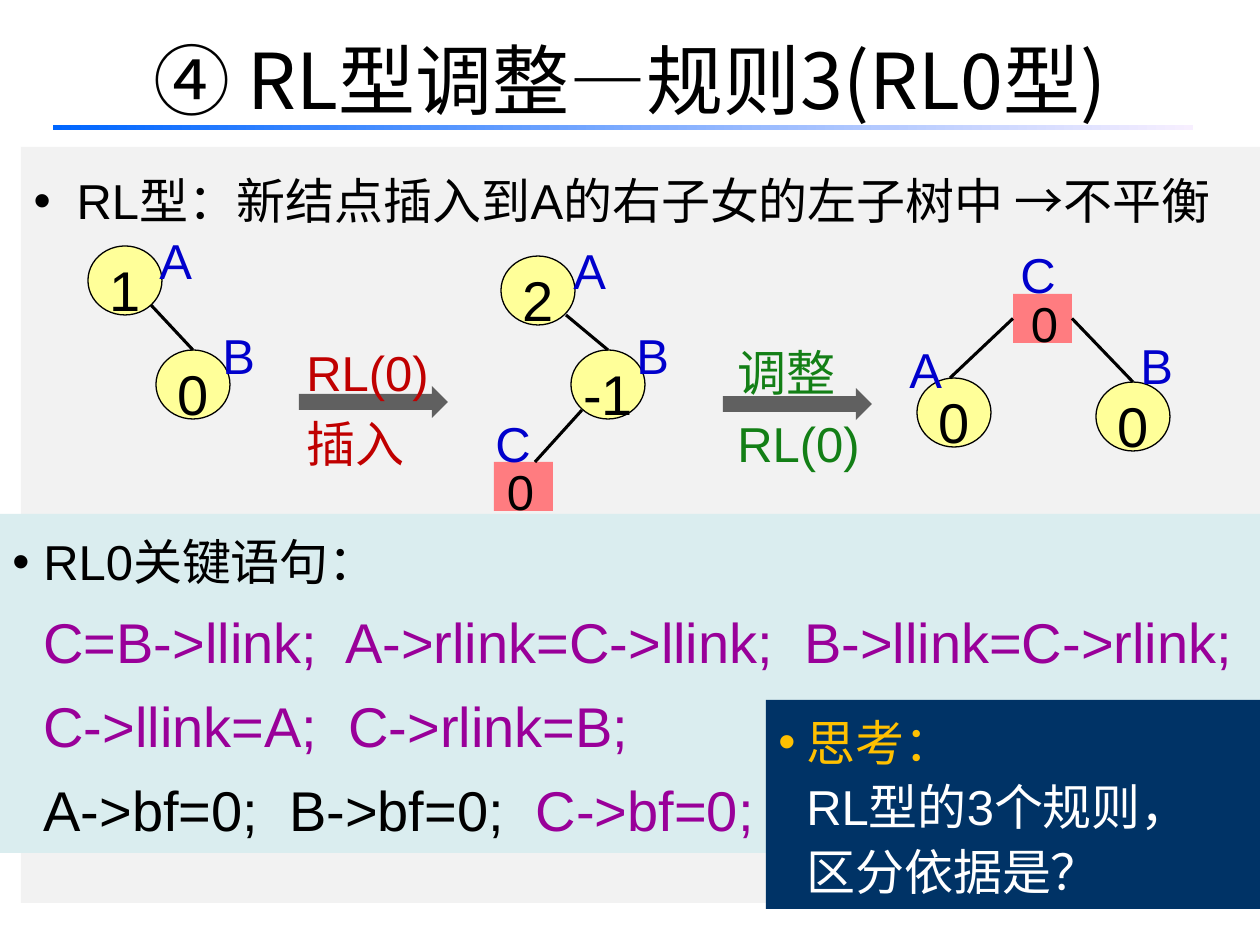
from pptx import Presentation
from pptx.dml.color import RGBColor
from pptx.enum.shapes import MSO_CONNECTOR, MSO_SHAPE
from pptx.enum.text import MSO_ANCHOR, MSO_AUTO_SIZE, PP_ALIGN
from pptx.oxml.ns import qn
from pptx.util import Pt
from lxml.etree import SubElement

COLORS = {
    "black": "000000", "white": "FFFFFF", "panel": "F2F2F2", "node": "FFFF99",
    "inserted": "FF7C80", "label": "0000CC", "arrow": "606060", "insert": "C00000",
    "adjust": "137F16", "code_panel": "DAEDEF", "code": "990099",
    "question_panel": "003366", "question": "FFC000",
    "rule_start": "0066FF", "rule_end": "F7EFFF",
}
NODE_WIDTH, NODE_HEIGHT = 74, 69
TOP, LEFT, RIGHT = 0, 1, 3


def emu(px):
    return round(px * 914400 / 126)


def color(name):
    return RGBColor.from_string(COLORS[name])


class SlideBuilder:
    """Holds the current slide and the style shared by its elements."""
    font_name = "Arial"

    def __init__(self, slide):
        self.slide = slide

    def style(self, paragraph, size, ink, spacing, align=None, before=0, font=None):
        paragraph.font.size = Pt(size)
        paragraph.font.name = font or self.font_name
        paragraph.font.color.rgb = color(ink)
        paragraph.line_spacing = spacing
        paragraph.space_before = Pt(before)
        paragraph.alignment = align

    def indent(self, paragraph, px, bullet):
        """Indent a paragraph, with its bullet hanging at the left edge."""
        properties = paragraph._p.get_or_add_pPr()
        properties.set("marL", str(emu(px)))
        properties.set("indent", str(-emu(px) if bullet else 0))
        if bullet:
            SubElement(properties, qn("a:buFont")).set("typeface", "Arial")
            SubElement(properties, qn("a:buChar")).set("char", "•")
        else:
            SubElement(properties, qn("a:buNone"))

    def place(self, shape, x, y, width, height):
        shape.left, shape.top = emu(x), emu(y)
        shape.width, shape.height = emu(width), emu(height)

    def title(self, text, *box):
        shape = self.slide.shapes.title
        self.place(shape, *box)
        frame = shape.text_frame
        frame.auto_size = MSO_AUTO_SIZE.NONE
        frame.vertical_anchor = MSO_ANCHOR.MIDDLE
        frame.text = text
        self.style(frame.paragraphs[0], 44, "black", 1.0, PP_ALIGN.CENTER,
                   font="Noto Sans CJK SC")

    def body(self, text, *box):
        shape = self.slide.placeholders[1]
        self.place(shape, *box)
        shape.fill.solid()
        shape.fill.fore_color.rgb = color("panel")
        frame = shape.text_frame
        frame.auto_size = MSO_AUTO_SIZE.NONE
        frame.text = text
        self.style(frame.paragraphs[0], 28, "black", 1.3, PP_ALIGN.JUSTIFY)
        self.indent(frame.paragraphs[0], 43, True)

    def shape(self, kind, fill, *box):
        x, y, width, height = map(emu, box)
        shape = self.slide.shapes.add_shape(kind, x, y, width, height)
        shape.shadow.inherit = False
        shape.line.fill.background()
        if fill:
            shape.fill.solid()
            shape.fill.fore_color.rgb = color(fill)
        return shape

    def gradient_rule(self, *box):
        fill = self.shape(MSO_SHAPE.RECTANGLE, None, *box).fill
        fill.gradient()
        fill.gradient_angle = 0
        for stop, position, name in zip(fill.gradient_stops, (0, 1), ("rule_start", "rule_end")):
            stop.position = position
            stop.color.rgb = color(name)

    def node(self, balance, x, y):
        shape = self.shape(MSO_SHAPE.OVAL, "node", x, y, NODE_WIDTH, NODE_HEIGHT)
        shape.line.color.rgb = color("black")
        shape.line.width = Pt(0.75)
        frame = shape.text_frame
        frame.word_wrap = False
        frame.vertical_anchor = MSO_ANCHOR.MIDDLE
        frame.text = balance
        self.style(frame.paragraphs[0], 32, "black", 1.25, PP_ALIGN.CENTER, before=9.6)
        return shape

    def text(self, lines, ink, *box, spacing=1.25, before=8.4, align=None):
        x, y, width, height = map(emu, box)
        frame = self.slide.shapes.add_textbox(x, y, width, height).text_frame
        frame.word_wrap = False
        frame.text = lines
        for paragraph in frame.paragraphs:
            self.style(paragraph, 28, ink, spacing, align, before)

    def label(self, name, x, y):
        self.text(name, "label", x, y, 58, 79)

    def inserted_node(self, x, y):
        return self.shape(MSO_SHAPE.RECTANGLE, "inserted", x, y, 59, 49)

    def inserted_balance(self, x, y):
        self.text("0", "black", x, y, 53, 87, align=PP_ALIGN.CENTER)

    def edge(self, start, end, begin_join=None, end_join=None):
        """Draw a tree edge; a join is a (shape, site) pair."""
        line = self.slide.shapes.add_connector(
            MSO_CONNECTOR.STRAIGHT, *map(emu, start + end))
        line.line.color.rgb = color("black")
        line.line.width = Pt(1.75)
        SubElement(line._element.spPr, qn("a:effectLst"))
        if begin_join:
            line.begin_connect(*begin_join)
        if end_join:
            line.end_connect(*end_join)

    def step(self, lines, ink, x, text_x, y):
        """Draw an arrow between two trees with its two-line caption."""
        self.shape(MSO_SHAPE.RIGHT_ARROW, "arrow", x, y, 149, 32)
        self.text(lines, ink, text_x, 325, 150, 155, spacing=1.2, before=0)

    def text_panel(self, fill, margin, lines, *box):
        """Lines are (size, spacing, [(text, colour), ...]); the first is bulleted."""
        frame = self.shape(MSO_SHAPE.RECTANGLE, fill, *box).text_frame
        frame.word_wrap = True
        frame.vertical_anchor = MSO_ANCHOR.TOP
        for index, (size, spacing, parts) in enumerate(lines):
            paragraph = frame.add_paragraph() if index else frame.paragraphs[0]
            self.style(paragraph, size, parts[0][1], spacing, PP_ALIGN.LEFT)
            self.indent(paragraph, margin, index == 0)
            for text, ink in parts:
                run = paragraph.add_run()
                run.text = text
                if len(parts) > 1:
                    run.font.color.rgb = color(ink)


def main():
    presentation = Presentation()
    presentation.slide_width, presentation.slide_height = emu(1260), emu(945)
    builder = SlideBuilder(presentation.slides.add_slide(presentation.slide_layouts[1]))

    builder.title("④ RL型调整—规则3(RL0型)", 63, 0, 1134, 158)
    builder.body("RL型：新结点插入到A的右子女的左子树中 →不平衡", 21, 147, 1239, 756)
    builder.gradient_rule(53, 125, 1140, 5)

    # Before the insertion
    builder.node("1", 88, 246)
    child = builder.node("0", 156, 350)
    builder.edge((151, 305), (194, 350), end_join=(child, TOP))

    # After the insertion
    builder.node("2", 501, 256)
    child = builder.node("-1", 571, 350)
    builder.edge((566, 315), (607, 350), end_join=(child, TOP))
    builder.inserted_node(494, 462)
    builder.edge((535, 462), (582, 410))

    # After the adjustment
    builder.node("0", 917, 378)
    right_child = builder.node("0", 1096, 382)
    root = builder.inserted_node(1013, 294)
    builder.edge((1013, 319), (950, 378), begin_join=(root, LEFT))
    builder.edge((1072, 319), (1133, 382), (root, RIGHT), (right_child, TOP))

    for name, x, y in (("A", 147, 210), ("B", 210, 305), ("A", 561, 220), ("B", 624, 305),
                       ("C", 483, 393), ("A", 897, 319), ("B", 1128, 315), ("C", 1008, 224)):
        builder.label(name, x, y)
    builder.inserted_balance(494, 441)
    builder.inserted_balance(1018, 273)
    builder.step("RL(0)\n插入", "insert", 299, 294, 386)
    builder.step("调整\nRL(0)", "adjust", 723, 725, 388)

    builder.text_panel("code_panel", 31, [
        (28, 1.2, [("RL0关键语句：", "black")]),
        (32, 1.25, [("C=B->llink;  A->rlink=C->llink;  B->llink=C->rlink;", "code")]),
        (32, 1.25, [("C->llink=A;  C->rlink=B;", "code")]),
        (32, 1.25, [("A->bf=0;  B->bf=0;  ", "black"), ("C->bf=0;", "code")]),
    ], 0, 514, 1260, 339)
    builder.text_panel("question_panel", 28, [
        (28, 1.1, [("思考：", "question")]),
        (28, 1.1, [("RL型的3个规则，", "white")]),
        (28, 1.1, [("区分依据是？", "white")]),
    ], 766, 700, 494, 209)

    presentation.save("out.pptx")


if __name__ == "__main__":
    main()
